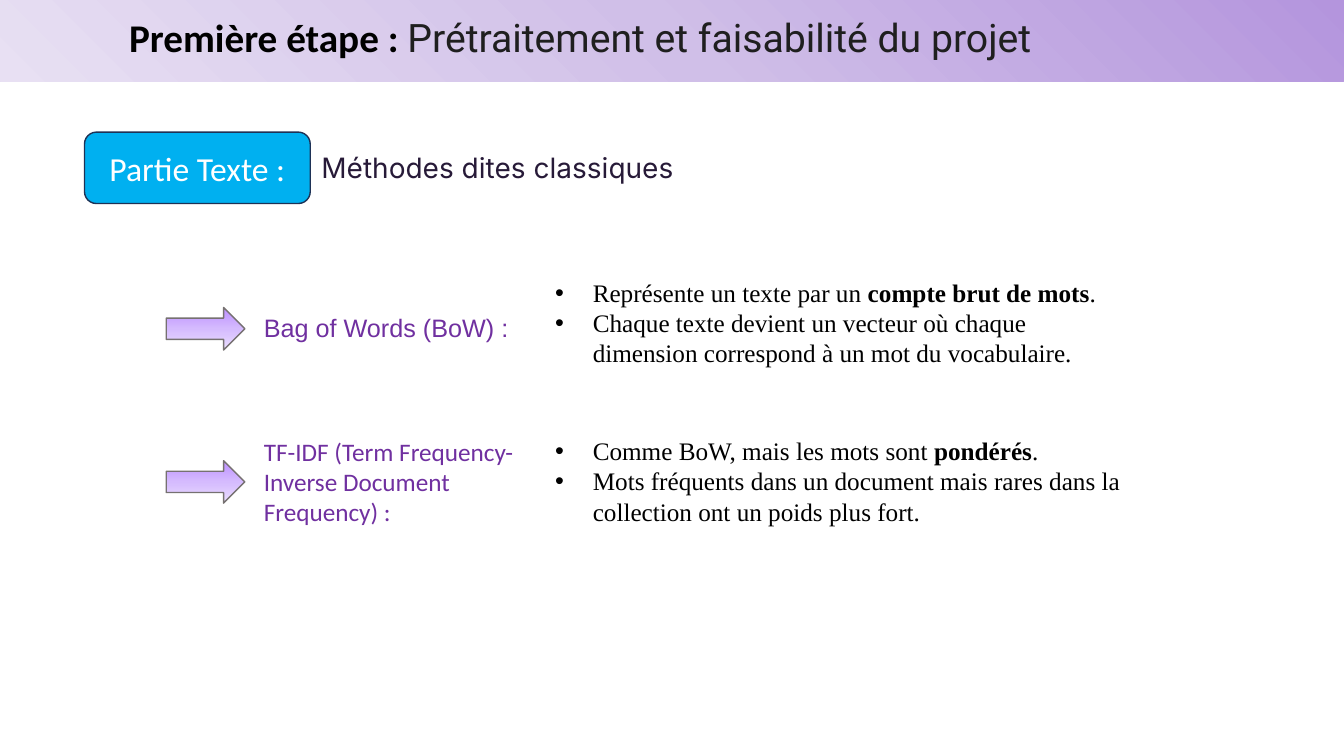
from copy import deepcopy

from lxml import etree
from pptx import Presentation
from pptx import util as u
from pptx.dml.color import RGBColor
from pptx.enum import shapes, text
from pptx.oxml.ns import qn

COLOURS = {
    "black": "000000", "white": "FFFFFF", "title": "1F1F1F", "subtitle": "271A38",
    "badge": "00B0F0", "badge_line": "1E3256", "label": "7030A0", "arrow_line": "767171",
}
BAND_STOPS = ("B495DD", "D0BFE8", "E8E0F3")
ARROW_STOPS = ("BD90FF", "D5BBFE", "EADEFE")


class MethodSlide:
    def __init__(self, page):
        self.page = page

    def set_font(self, font, name, size, colour, bold=False):
        font.name, font.size, font.bold = name, u.Pt(size), bold
        font.color.rgb = RGBColor.from_string(COLOURS[colour])

    def place(self, shape, left, top, width, height):
        shape.left, shape.top = u.Cm(left), u.Cm(top)
        shape.width, shape.height = u.Cm(width), u.Cm(height)

    def shape(self, kind, place, line=None):
        shape = self.page.shapes.add_shape(kind, *map(u.Cm, place))
        shape.shadow.inherit = False
        if line:
            shape.line.color.rgb = RGBColor.from_string(COLOURS[line])
            shape.line.width = u.Pt(1)
        else:
            shape.line.fill.background()
        return shape

    def gradient(self, shape, colours, angle):
        """Fill with three evenly spaced stops; the angle runs counter-clockwise."""
        shape.fill.gradient()
        shape.fill.gradient_angle = angle
        stop_list = shape.element.spPr.find(".//" + qn("a:gsLst"))
        stop_list.append(deepcopy(stop_list[0]))
        for stop, colour, position in zip(shape.fill.gradient_stops, colours, (0, 0.5, 1)):
            stop.color.rgb = RGBColor.from_string(colour)
            stop.position = position

    def title(self, parts, place):
        """Each part is a (text, font, colour, bold) run, on top of the gradient band."""
        title = self.page.shapes.title
        self.place(title, *place)
        frame = title.text_frame
        frame.word_wrap = False
        frame.auto_size = text.MSO_AUTO_SIZE.SHAPE_TO_FIT_TEXT
        frame.vertical_anchor = text.MSO_ANCHOR.TOP
        para = frame.paragraphs[0]
        para.alignment = text.PP_ALIGN.LEFT
        for wording, font, colour, bold in parts:
            span = para.add_run()
            span.text = wording
            self.set_font(span.font, font, 28, colour, bold)

    def band(self, place):
        band = self.shape(shapes.MSO_SHAPE.RECTANGLE, place)
        self.gradient(band, BAND_STOPS, 225)
        self.page.shapes.title.element.addprevious(band.element)

    def badge(self, wording, place):
        badge = self.shape(shapes.MSO_SHAPE.ROUNDED_RECTANGLE, place, "badge_line")
        badge.fill.solid()
        badge.fill.fore_color.rgb = RGBColor.from_string(COLOURS["badge"])
        badge.text_frame.vertical_anchor = text.MSO_ANCHOR.MIDDLE
        para = badge.text_frame.paragraphs[0]
        para.text = wording
        para.alignment = text.PP_ALIGN.CENTER
        self.set_font(para.font, "Calibri", 24, "white")

    def arrow(self, top):
        arrow = self.shape(shapes.MSO_SHAPE.RIGHT_ARROW, (4.19, top, 1.98, 1.07), "arrow_line")
        self.gradient(arrow, ARROW_STOPS, 270)

    def frame(self, place, anchor=text.MSO_ANCHOR.TOP):
        frame = self.page.shapes.add_textbox(*map(u.Cm, place)).text_frame
        frame.word_wrap = True
        frame.auto_size = text.MSO_AUTO_SIZE.SHAPE_TO_FIT_TEXT
        frame.vertical_anchor = anchor
        return frame

    def label(self, wording, place, font, size, colour, anchor=text.MSO_ANCHOR.TOP):
        para = self.frame(place, anchor).paragraphs[0]
        para.text = wording
        self.set_font(para.font, font, size, colour)

    def bullets(self, items, place):
        """Each item is a list of runs; every second run is bold."""
        frame = self.frame(place)
        for index, item in enumerate(items):
            para = frame.add_paragraph() if index else frame.paragraphs[0]
            properties = para._p.get_or_add_pPr()
            properties.set("marL", str(u.Cm(0.95)))
            properties.set("indent", str(-u.Cm(0.95)))
            etree.SubElement(properties, qn("a:buFont")).set("typeface", "Arial")
            etree.SubElement(properties, qn("a:buChar")).set("char", "•")
            for position, wording in enumerate(item):
                span = para.add_run()
                span.text = wording
                self.set_font(span.font, "Times New Roman", 18, "black", position % 2 == 1)


def main():
    deck = Presentation()
    deck.slide_width, deck.slide_height = u.Cm(33.87), u.Cm(19.05)
    slide = MethodSlide(deck.slides.add_slide(deck.slide_layouts[5]))

    slide.band((0, 0, 33.87, 2.05))
    slide.title([
        ("Première étape : ", "Calibri", "black", True),
        ("Prétraitement et faisabilité du projet", "Roboto", "title", False),
    ], (3, 0.2, 23.55, 1.45))
    slide.label("Méthodes dites classiques", (7.85, 3.68, 26, 1.96), "Inter", 20, "subtitle")
    slide.badge("Partie Texte :", (2.13, 3.33, 5.69, 1.8))

    methods = [
        (7.75, "Bag of Words (BoW) :", "Arial", (6.4, 7.75, 6.71, 1.02),
         [["Représente un texte par un ", "compte brut de mots", "."],
          ["Chaque texte devient un vecteur où chaque dimension correspond à un mot "
           "du vocabulaire."]], (13.74, 6.86, 14.43, 2.57)),
        (11.61, "TF-IDF (Term Frequency-Inverse Document Frequency) :", "Calibri",
         (6.4, 10.85, 7.34, 2.57),
         [["Comme BoW, mais les mots sont ", "pondérés", "."],
          ["Mots fréquents dans un document mais rares dans la collection ont un poids "
           "plus fort."]], (13.74, 10.85, 16.99, 2.57)),
    ]
    for arrow_top, name, font, name_place, items, items_place in methods:
        slide.arrow(arrow_top)
        slide.label(name, name_place, font, 18, "label", text.MSO_ANCHOR.MIDDLE)
        slide.bullets(items, items_place)

    deck.save("out.pptx")


if __name__ == "__main__":
    main()
